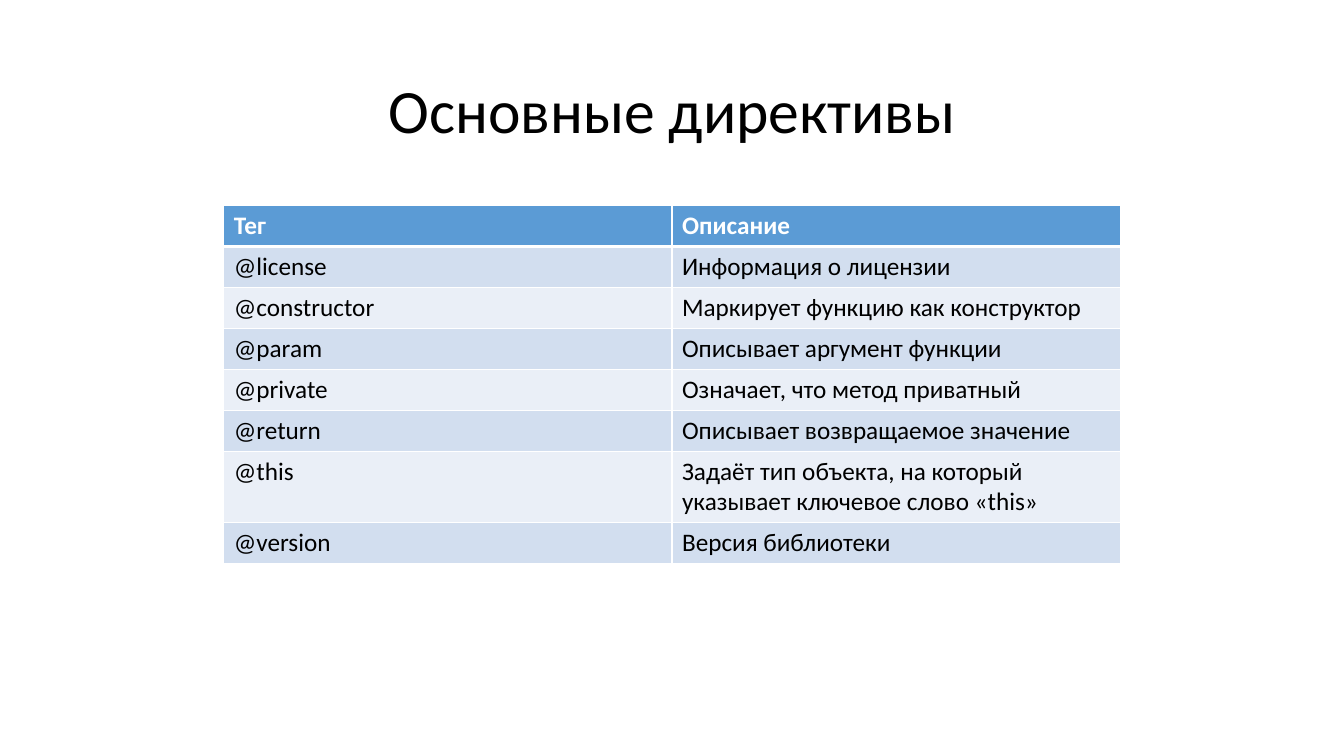
from lxml import etree
from pptx import Presentation
from pptx import util as u
from pptx.dml.color import RGBColor
from pptx.enum import text
from pptx.oxml.ns import qn

TITLE = "Основные директивы"
DIRECTIVES = [
    ("Тег", "Описание"),
    ("@license", "Информация о лицензии"),
    ("@constructor", "Маркирует функцию как конструктор"),
    ("@param", "Описывает аргумент функции"),
    ("@private", "Означает, что метод приватный"),
    ("@return", "Описывает возвращаемое значение"),
    ("@this", "Задаёт тип объекта, на который указывает ключевое слово «this»"),
    ("@version", "Версия библиотеки"),
]
TITLE_BOX = (0.92, 0.4, 11.5, 1.45)
TABLE_BOX = (2.22, 2.04, 8.89, 3.25)


class Theme:
    font = "Calibri"
    ink = "000000"
    paper = "FFFFFF"
    header = "5B9BD5"
    bands = ("EAEFF7", "D2DEEF")
    title_size = 44
    cell_size = 18
    rule = 1
    header_rule = 3


def apply(target, values):
    for name, value in values.items():
        setattr(target, name, value)


def inches(box):
    return [u.Inches(length) for length in box]


def style_font(font, size, color, bold=False):
    apply(font, {"name": Theme.font, "size": u.Pt(size), "bold": bold})
    font.color.rgb = RGBColor.from_string(color)


def add_border(cell, side, width):
    line = etree.SubElement(cell._tc.get_or_add_tcPr(), qn(f"a:ln{side}"), w=str(u.Pt(width)))
    fill = etree.SubElement(line, qn("a:solidFill"))
    etree.SubElement(fill, qn("a:srgbClr"), val=Theme.paper)


def add_title(page):
    title = page.shapes.title
    apply(title, dict(zip(("left", "top", "width", "height"), inches(TITLE_BOX))))
    apply(title.text_frame, {"text": TITLE, "word_wrap": True,
                             "vertical_anchor": text.MSO_ANCHOR.MIDDLE})
    para = title.text_frame.paragraphs[0]
    apply(para, {"alignment": text.PP_ALIGN.CENTER, "line_spacing": 0.9})
    style_font(para.runs[0].font, Theme.title_size, Theme.ink)


def add_directives(page):
    table = page.shapes.add_table(len(DIRECTIVES), len(DIRECTIVES[0]), *inches(TABLE_BOX)).table
    for row, values in enumerate(DIRECTIVES):
        heading = row == 0
        widths = {"L": Theme.rule, "R": Theme.rule,
                  "T": Theme.header_rule if row == 1 else Theme.rule,
                  "B": Theme.header_rule if heading else Theme.rule}
        for column, value in enumerate(values):
            cell = table.cell(row, column)
            cell.text = value
            span = cell.text_frame.paragraphs[0].runs[0]
            style_font(span.font, Theme.cell_size, Theme.paper if heading else Theme.ink, heading)
            for side, width in widths.items():
                add_border(cell, side, width)
            cell.fill.solid()
            color = Theme.header if heading else Theme.bands[row % 2]
            cell.fill.fore_color.rgb = RGBColor.from_string(color)


def main():
    deck = Presentation()
    apply(deck, {"slide_width": u.Inches(13.33), "slide_height": u.Inches(7.5)})
    page = deck.slides.add_slide(deck.slide_layouts[5])
    add_title(page)
    add_directives(page)
    deck.save("out.pptx")


if __name__ == "__main__":
    main()
